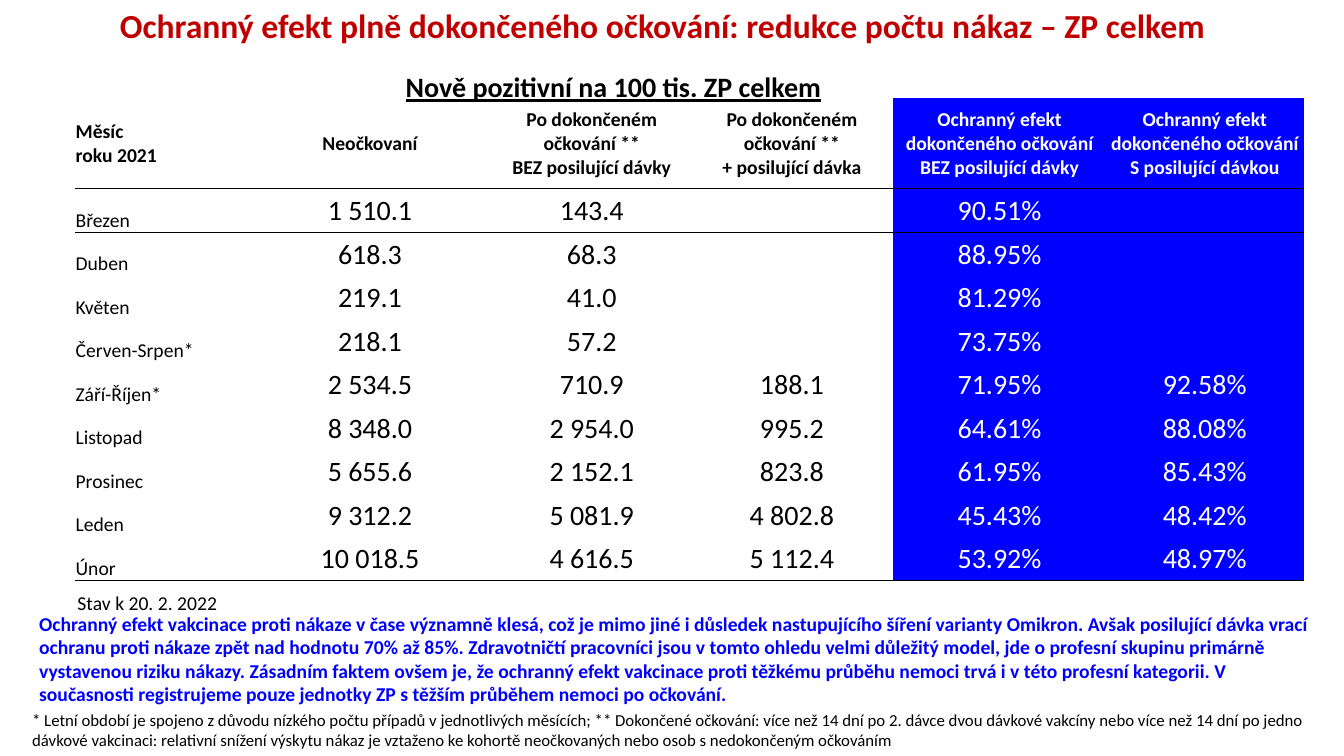
from lxml import etree
from pptx import Presentation
from pptx.dml.color import RGBColor
from pptx.enum.text import MSO_ANCHOR, PP_ALIGN
from pptx.oxml.ns import qn
from pptx.util import Inches, Pt

LEFT, CENTER = PP_ALIGN.LEFT, PP_ALIGN.CENTER
TOP, MIDDLE, BOTTOM = MSO_ANCHOR.TOP, MSO_ANCHOR.MIDDLE, MSO_ANCHOR.BOTTOM
BLACK = RGBColor(0x00, 0x00, 0x00)
WHITE = RGBColor(0xFF, 0xFF, 0xFF)
RED = RGBColor(0xC0, 0x00, 0x00)
BLUE = RGBColor(0x00, 0x00, 0xFF)
FONT = "Calibri"
NO_STYLE = "{2D5ABB26-0587-4C30-8999-92F81FD0307C}"

TITLE = "Ochranný efekt plně dokončeného očkování: redukce počtu nákaz – ZP celkem"
SUBTITLE = "Nově pozitivní na 100 tis. ZP celkem"
STATUS = "Stav k 20. 2. 2022"
CONCLUSION = (
    "Ochranný efekt vakcinace proti nákaze v čase významně klesá, což je mimo jiné i důsledek "
    "nastupujícího šíření varianty Omikron. Avšak posilující dávka vrací ochranu proti nákaze "
    "zpět nad hodnotu 70% až 85%. Zdravotničtí pracovníci jsou v tomto ohledu velmi důležitý "
    "model, jde o profesní skupinu primárně vystavenou riziku nákazy. Zásadním faktem ovšem je, "
    "že ochranný efekt vakcinace proti těžkému průběhu nemoci trvá i v této profesní kategorii. "
    "V současnosti registrujeme pouze jednotky ZP s těžším průběhem nemoci po očkování."
)
FOOTNOTE = (
    "* Letní období je spojeno z důvodu nízkého počtu případů v jednotlivých měsících; "
    "** Dokončené očkování: více než 14 dní po 2. dávce dvou dávkové vakcíny nebo více než "
    "14 dní po jedno dávkové vakcinaci: relativní snížení výskytu nákaz je vztaženo ke kohortě "
    "neočkovaných nebo osob s nedokončeným očkováním"
)

COL_WIDTHS = [1.71, 2.44, 1.96, 2.01, 2.11, 1.96]
HEADER_HEIGHT = 0.9
EFFECT_COL = 4
HEADERS = [
    "Měsíc\nroku 2021",
    "Neočkovaní",
    "Po dokončeném\nočkování **\nBEZ posilující dávky",
    "Po dokončeném\nočkování **\n+ posilující dávka",
    "Ochranný efekt dokončeného očkování BEZ posilující dávky",
    "Ochranný efekt dokončeného očkování S posilující dávkou",
]
MONTHS = [
    ["Březen", "1 510.1", "143.4", "", "90.51%", ""],
    ["Duben", "618.3", "68.3", "", "88.95%", ""],
    ["Květen", "219.1", "41.0", "", "81.29%", ""],
    ["Červen-Srpen*", "218.1", "57.2", "", "73.75%", ""],
    ["Září-Říjen*", "2 534.5", "710.9", "188.1", "71.95%", "92.58%"],
    ["Listopad", "8 348.0", "2 954.0", "995.2", "64.61%", "88.08%"],
    ["Prosinec", "5 655.6", "2 152.1", "823.8", "61.95%", "85.43%"],
    ["Leden", "9 312.2", "5 081.9", "4 802.8", "45.43%", "48.42%"],
    ["Únor", "10 018.5", "4 616.5", "5 112.4", "53.92%", "48.97%"],
]


def write_text(tf, text, size, color, bold=False, align=LEFT, underline=False):
    tf.text = text
    for p in tf.paragraphs:
        p.alignment = align
        for r in p.runs:
            r.font.name = FONT
            r.font.size = Pt(size)
            r.font.bold = bold
            r.font.underline = underline
            r.font.color.rgb = color


def add_title(slide, x, y, w, h):
    sp = slide.shapes.title
    sp.left, sp.top, sp.width, sp.height = Inches(x), Inches(y), Inches(w), Inches(h)
    tf = sp.text_frame
    tf.word_wrap = True
    tf.vertical_anchor = TOP
    write_text(tf, TITLE, 24, RED, bold=True, align=CENTER)
    tf.paragraphs[0].line_spacing = 0.9


def add_text(slide, x, y, w, h, text, size, color, **style):
    sp = slide.shapes.add_textbox(Inches(x), Inches(y), Inches(w), Inches(h))
    sp.text_frame.word_wrap = True
    write_text(sp.text_frame, text, size, color, **style)


def add_border(cell, side):
    ln = etree.Element(qn("a:" + side), w=str(Pt(1)))
    fill = etree.SubElement(ln, qn("a:solidFill"))
    etree.SubElement(fill, qn("a:srgbClr"), val=str(BLACK))
    cell._tc.get_or_add_tcPr().insert(0, ln)


def fill_cell(cell, text, col, is_header):
    is_effect = col >= EFFECT_COL
    if is_effect:
        cell.fill.solid()
        cell.fill.fore_color.rgb = BLUE
    else:
        cell.fill.background()
    cell.margin_left = cell.margin_right = cell.margin_top = Inches(0.01)
    cell.margin_bottom = 0
    cell.vertical_anchor = BOTTOM if col == 0 and not is_header else MIDDLE
    write_text(
        cell.text_frame,
        text,
        14 if is_header or col == 0 else 20,
        WHITE if is_effect else BLACK,
        bold=is_header,
        align=LEFT if col == 0 else CENTER,
    )


def add_effect_table(slide, x, y, w, h):
    rows = [HEADERS] + MONTHS
    frame = slide.shapes.add_table(
        len(rows) + 1, len(COL_WIDTHS), Inches(x), Inches(y), Inches(w), Inches(h)
    )
    table = frame.table
    table.first_row = table.horz_banding = False
    table._tbl.tblPr.find(qn("a:tableStyleId")).text = NO_STYLE
    for column, width in zip(table.columns, COL_WIDTHS):
        column.width = Inches(width)
    for row in table.rows:
        row.height = Inches((h - HEADER_HEIGHT) / len(rows))
    table.rows[1].height = Inches(HEADER_HEIGHT)
    for cell in table.rows[0].cells:
        cell.fill.background()
    table.cell(0, 2).merge(table.cell(0, len(COL_WIDTHS) - 1))
    for i, values in enumerate(rows, start=1):
        for col, text in enumerate(values):
            fill_cell(table.cell(i, col), text, col, i == 1)
    for row, side in ((1, "lnB"), (2, "lnT"), (len(rows), "lnB")):
        for cell in table.rows[row].cells:
            add_border(cell, side)


def main():
    prs = Presentation()
    prs.slide_width, prs.slide_height = Inches(13.33), Inches(7.5)
    s = prs.slides.add_slide(prs.slide_layouts[5])
    add_title(s, 0.22, 0.04, 12.7, 1.45)
    add_text(s, 3.87, 0.64, 4.43, 0.44, SUBTITLE, 20, BLACK,
             bold=True, align=CENTER, underline=True)
    add_text(s, 0.22, 6.99, 12.99, 0.5, FOOTNOTE, 12, BLACK)
    add_effect_table(s, 0.74, 0.54, 12.19, 5.22)
    add_text(s, 0.67, 5.81, 2.21, 0.34, STATUS, 14, BLACK)
    add_text(s, 0.29, 6.02, 12.87, 1.04, CONCLUSION, 14, BLUE, bold=True)
    prs.save("out.pptx")


if __name__ == "__main__":
    main()
